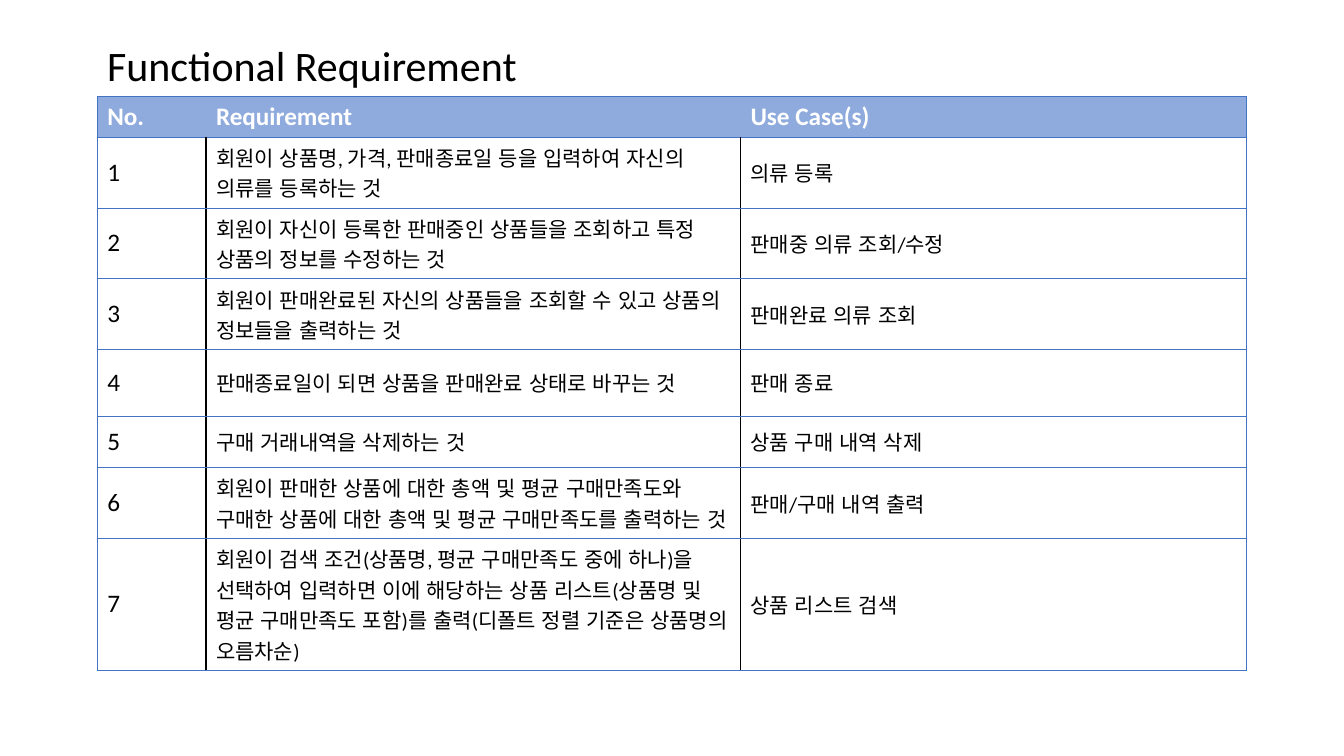
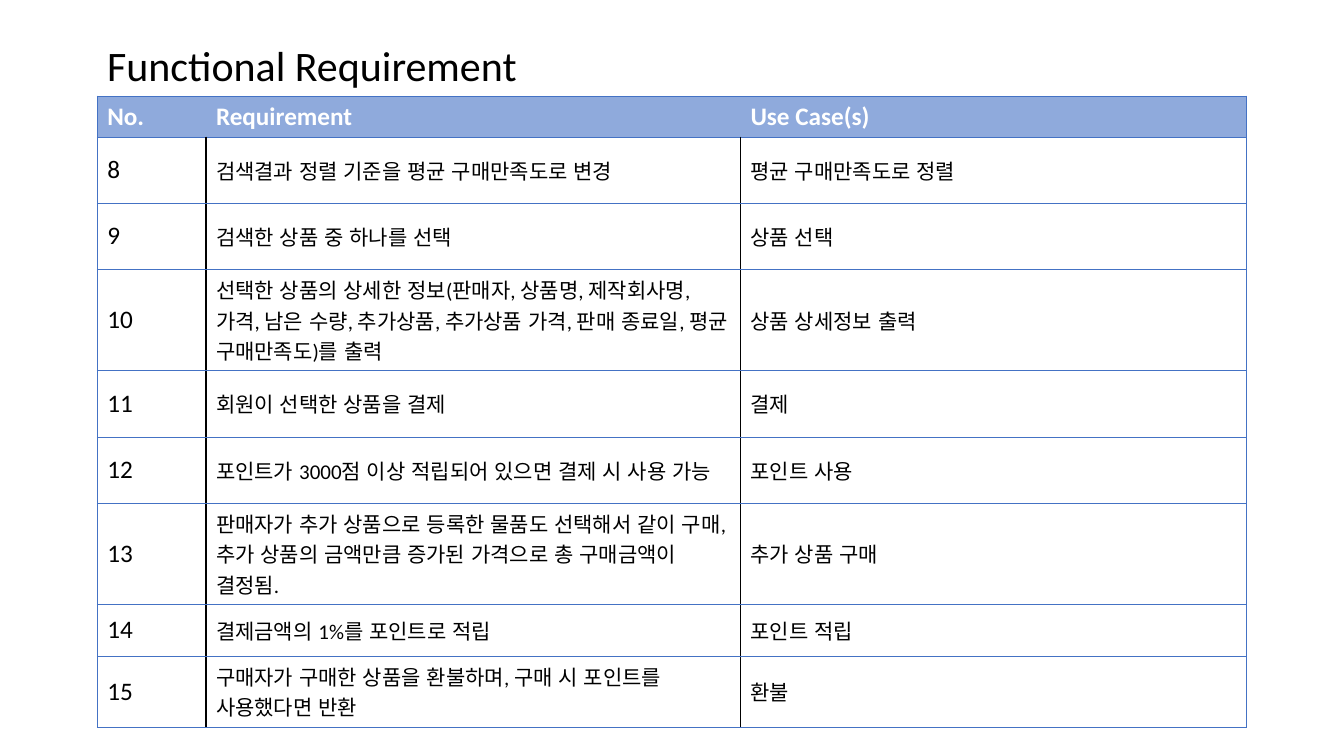
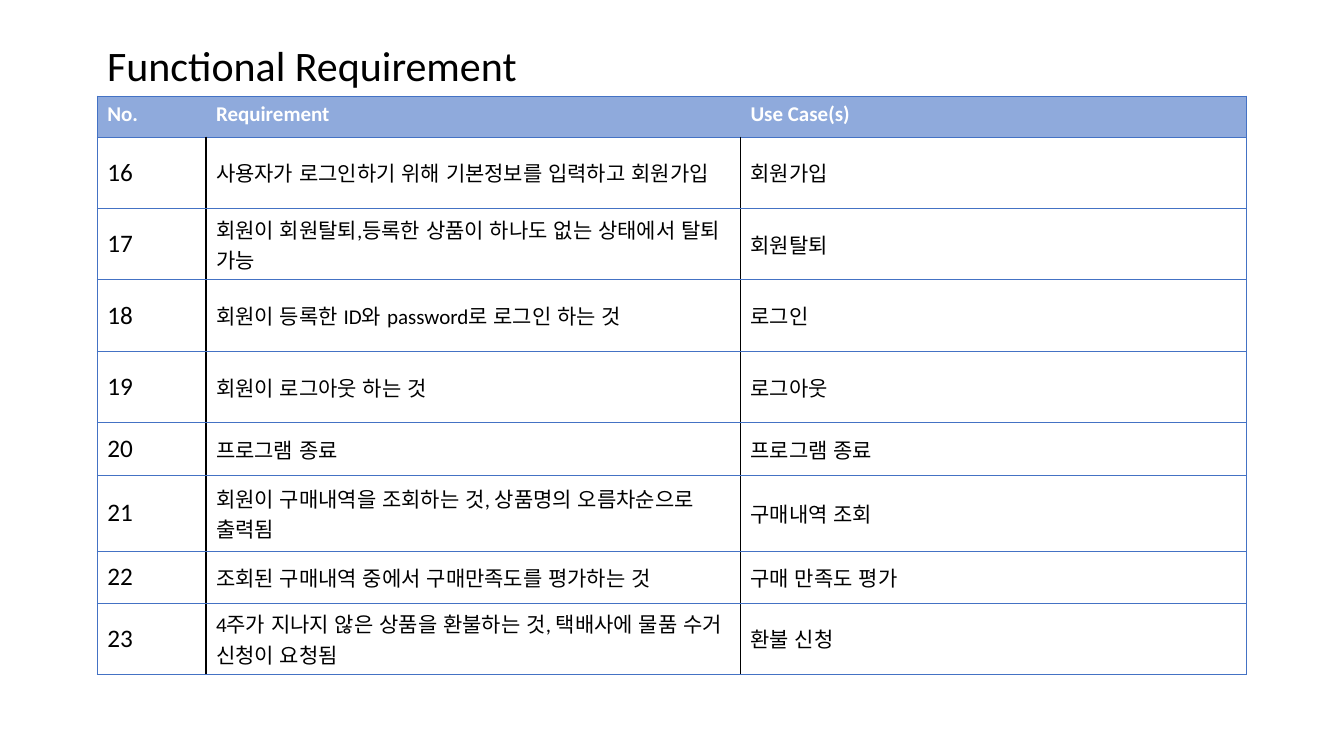
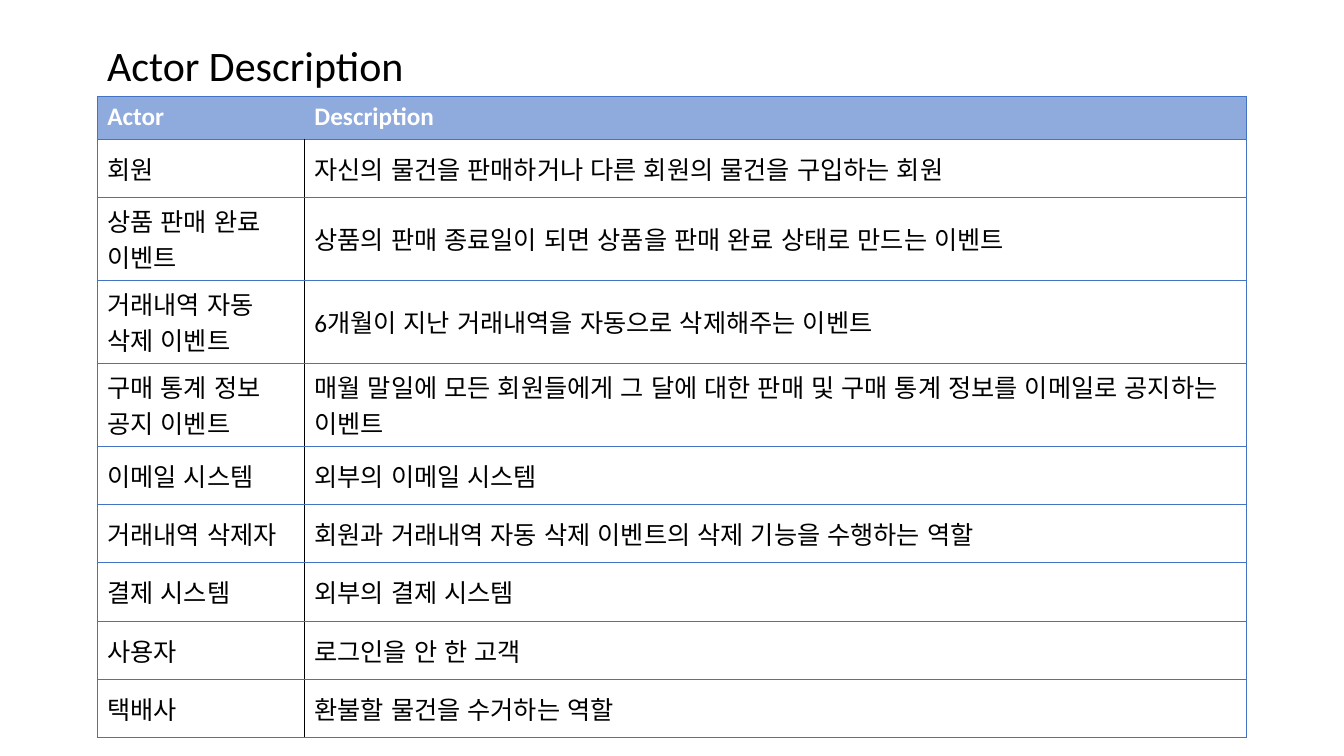
from lxml import etree
from pptx import Presentation
from pptx import util as u
from pptx.dml import color as dml
from pptx.enum import lang, text
from pptx.oxml import ns

COLORS = {"header": "8FAADC", "grid": "4472C4", "divider": "000000",
          "ink": "000000", "paper": "FFFFFF"}
FONT = "Calibri"
LEFT, TITLE_TOP, TABLE_TOP = 2.45, 0.86, 2.42
TITLE_HEIGHT = 1.55
REQUIREMENT_COLUMNS = (2.74, 13.47, 12.76)
ACTOR_COLUMNS = (5.22, 23.75)
REQUIREMENT_HEADER = ("No.", "Requirement", "Use Case(s)")
GRID = ("grid", 0.5)
DIVIDER = ("divider", 1)


def write(frame, words, size, color="ink", bold=False):
    """Put one styled run of text into a text frame."""
    run = frame.paragraphs[0].add_run()
    run.text = words
    style = {"name": FONT, "size": u.Pt(size), "bold": bold,
             "language_id": lang.MSO_LANGUAGE_ID.KOREAN}
    for name, value in style.items():
        setattr(run.font, name, value)
    run.font.color.rgb = dml.RGBColor.from_string(COLORS[color])


def set_borders(cell, borders):
    """Draw the four cell borders; None leaves a side without a line."""
    properties = cell._tc.get_or_add_tcPr()
    for index, side in enumerate("LRTB"):
        line = etree.Element(ns.qn(f"a:ln{side}"))
        if borders[side]:
            color, width = borders[side]
            line.set("w", str(u.Pt(width)))
            fill = etree.SubElement(line, ns.qn("a:solidFill"))
            etree.SubElement(fill, ns.qn("a:srgbClr"), val=COLORS[color])
        else:
            etree.SubElement(line, ns.qn("a:noFill"))
        properties.insert(index, line)


def add_title(slide, words, left, top, width):
    """Place the slide title in a box that grows with its text."""
    box = slide.shapes.add_textbox(u.Cm(left), u.Cm(top), u.Cm(width), u.Cm(TITLE_HEIGHT))
    frame = box.text_frame
    frame.word_wrap = False
    frame.auto_size = text.MSO_AUTO_SIZE.SHAPE_TO_FIT_TEXT
    write(frame, words, 30)


def add_grid(slide, left, top, columns, heights, rows, header_size, sizes):
    """Place a table with a coloured header and ruled body rows."""
    frame = slide.shapes.add_table(len(rows), len(columns), u.Cm(left), u.Cm(top),
                                   u.Cm(sum(columns)), u.Cm(sum(heights)))
    table = frame.table
    table.horz_banding = False
    for column, width in zip(table.columns, columns):
        column.width = u.Cm(width)
    last = len(columns) - 1
    for i, (row, height, values) in enumerate(zip(table.rows, heights, rows)):
        row.height = u.Cm(height)
        is_header = i == 0
        inner = None if is_header else DIVIDER
        for j, (cell, words) in enumerate(zip(row.cells, values)):
            if is_header:
                cell.fill.solid()
                cell.fill.fore_color.rgb = dml.RGBColor.from_string(COLORS["header"])
                write(cell.text_frame, words, header_size, "paper", True)
            else:
                cell.fill.background()
                cell.vertical_anchor = text.MSO_ANCHOR.MIDDLE
                write(cell.text_frame, words, sizes[j])
            set_borders(cell, {"L": GRID if j == 0 else inner,
                               "R": GRID if j == last else inner,
                               "T": GRID, "B": GRID})


def add_slide(presentation):
    """Add an empty slide on the blank layout."""
    return presentation.slides.add_slide(presentation.slide_layouts[6])


def requirement_slide(presentation, first, heights, entries, header_size=18):
    """Build a slide of requirements numbered from first."""
    slide = add_slide(presentation)
    rows = [REQUIREMENT_HEADER]
    rows += [(str(number), *entry) for number, entry in enumerate(entries, first)]
    add_grid(slide, LEFT, TABLE_TOP, REQUIREMENT_COLUMNS, heights, rows,
             header_size, (18, 15, 15))
    add_title(slide, "Functional Requirement", LEFT, TITLE_TOP, 11.35)


def actor_slide(presentation, heights, actors):
    """Build the slide that describes each actor."""
    slide = add_slide(presentation)
    rows = [("Actor", "Description"), *actors]
    add_grid(slide, LEFT, TABLE_TOP, ACTOR_COLUMNS, heights, rows, 18, (18, 18))
    add_title(slide, "Actor Description", LEFT, TITLE_TOP, 8.08)


SELLING = [
    ("회원이 상품명, 가격, 판매종료일 등을 입력하여 자신의 의류를 등록하는 것", "의류 등록"),
    ("회원이 자신이 등록한 판매중인 상품들을 조회하고 특정 상품의 정보를 수정하는 것",
     "판매중 의류 조회/수정"),
    ("회원이 판매완료된 자신의 상품들을 조회할 수 있고 상품의 정보들을 출력하는 것",
     "판매완료 의류 조회"),
    ("판매종료일이 되면 상품을 판매완료 상태로 바꾸는 것", "판매 종료"),
    ("구매 거래내역을 삭제하는 것", "상품 구매 내역 삭제"),
    ("회원이 판매한 상품에 대한 총액 및 평균 구매만족도와 "
     "구매한 상품에 대한 총액 및 평균 구매만족도를 출력하는 것", "판매/구매 내역 출력"),
    ("회원이 검색 조건(상품명, 평균 구매만족도 중에 하나)을 선택하여 입력하면 "
     "이에 해당하는 상품 리스트(상품명 및 평균 구매만족도 포함)를 "
     "출력(디폴트 정렬 기준은 상품명의 오름차순)", "상품 리스트 검색"),
]
BUYING = [
    ("검색결과 정렬 기준을 평균 구매만족도로 변경", "평균 구매만족도로 정렬"),
    ("검색한 상품 중 하나를 선택", "상품 선택"),
    ("선택한 상품의 상세한 정보(판매자, 상품명, 제작회사명, 가격, 남은 수량, "
     "추가상품, 추가상품 가격, 판매 종료일, 평균 구매만족도)를 출력", "상품 상세정보 출력"),
    ("회원이 선택한 상품을 결제", "결제"),
    ("포인트가 3000점 이상 적립되어 있으면 결제 시 사용 가능", "포인트 사용"),
    ("판매자가 추가 상품으로 등록한 물품도 선택해서 같이 구매, "
     "추가 상품의 금액만큼 증가된 가격으로 총 구매금액이 결정됨.", "추가 상품 구매"),
    ("결제금액의 1%를 포인트로 적립", "포인트 적립"),
    ("구매자가 구매한 상품을 환불하며, 구매 시 포인트를 사용했다면 반환", "환불"),
]
MEMBERSHIP = [
    ("사용자가 로그인하기 위해 기본정보를 입력하고 회원가입", "회원가입"),
    ("회원이 회원탈퇴,등록한 상품이 하나도 없는 상태에서 탈퇴 가능", "회원탈퇴"),
    ("회원이 등록한 ID와 password로 로그인 하는 것", "로그인"),
    ("회원이 로그아웃 하는 것", "로그아웃"),
    ("프로그램 종료", "프로그램 종료"),
    ("회원이 구매내역을 조회하는 것, 상품명의 오름차순으로 출력됨", "구매내역 조회"),
    ("조회된 구매내역 중에서 구매만족도를 평가하는 것", "구매 만족도 평가"),
    ("4주가 지나지 않은 상품을 환불하는 것, 택배사에 물품 수거 신청이 요청됨", "환불 신청"),
]
ACTORS = [
    ("회원", "자신의 물건을 판매하거나 다른 회원의 물건을 구입하는 회원"),
    ("상품 판매 완료 이벤트", "상품의 판매 종료일이 되면 상품을 판매 완료 상태로 만드는 이벤트"),
    ("거래내역 자동 삭제 이벤트", "6개월이 지난 거래내역을 자동으로 삭제해주는 이벤트"),
    ("구매 통계 정보 공지 이벤트",
     "매월 말일에 모든 회원들에게 그 달에 대한 판매 및 구매 통계 정보를 이메일로 공지하는 이벤트"),
    ("이메일 시스템", "외부의 이메일 시스템"),
    ("거래내역 삭제자", "회원과 거래내역 자동 삭제 이벤트의 삭제 기능을 수행하는 역할"),
    ("결제 시스템", "외부의 결제 시스템"),
    ("사용자", "로그인을 안 한 고객"),
    ("택배사", "환불할 물건을 수거하는 역할"),
]

presentation = Presentation()
presentation.slide_width, presentation.slide_height = u.Cm(33.87), u.Cm(19.05)
requirement_slide(presentation, 1, [1.03] + [1.78] * 3 + [1.67, 1.3, 1.78, 3.32], SELLING)
requirement_slide(presentation, 8, [1.03, 1.67, 1.67, 2.55, 1.67, 1.67, 2.55, 1.3, 1.79],
                  BUYING)
requirement_slide(presentation, 16, [1.03] + [1.8] * 4 + [1.32, 1.92, 1.31, 1.79],
                  MEMBERSHIP, header_size=15)
actor_slide(presentation, [1.08, 1.47] + [2.09] * 3 + [1.47] * 5, ACTORS)
presentation.save("out.pptx")
